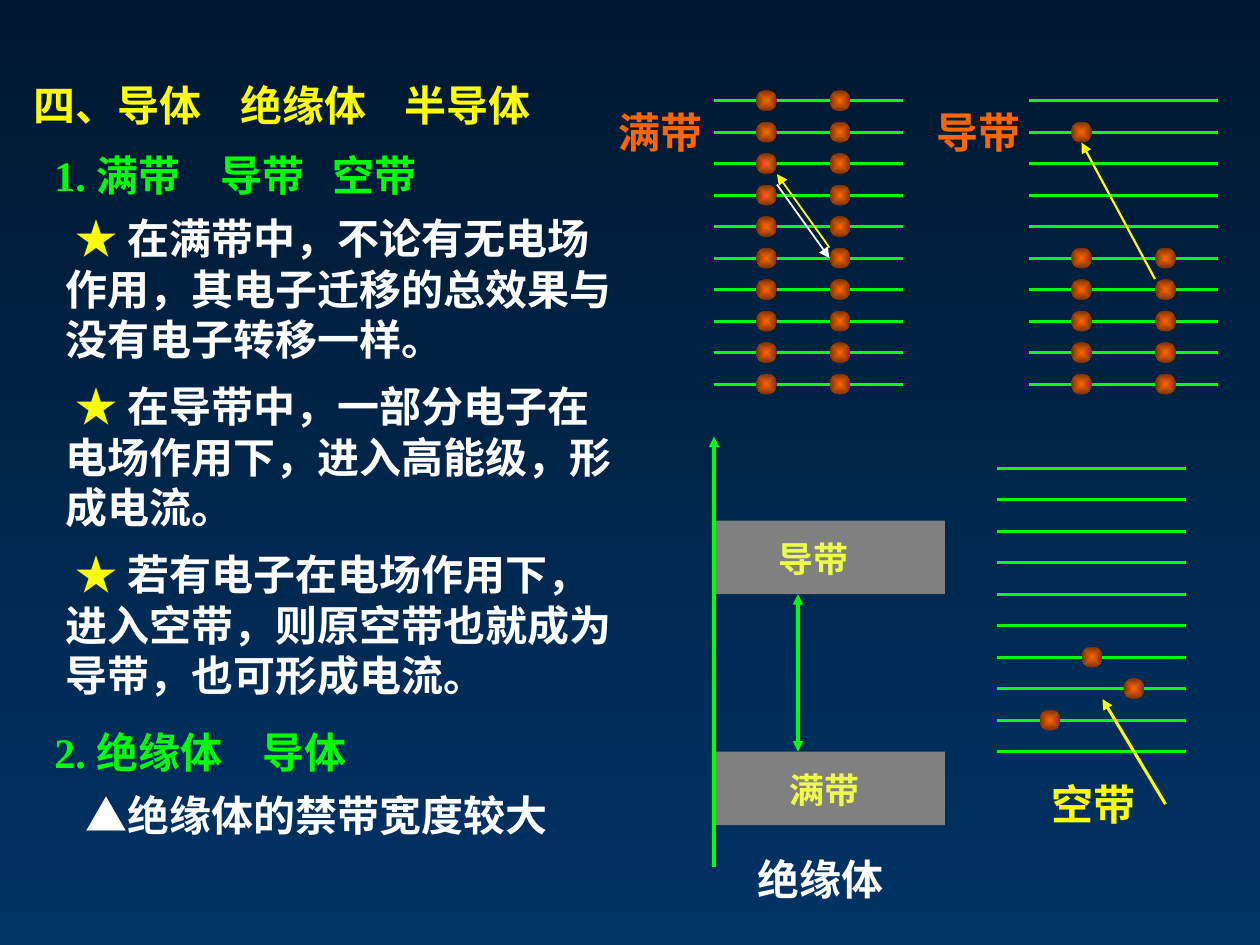
"""Build the slide on conductors, insulators and semiconductors."""
from dataclasses import dataclass

from pptx import Presentation
from pptx.dml.color import RGBColor
from pptx.enum import shapes, text
from pptx.oxml import parse_xml
from pptx.oxml import ns
from pptx.util import Pt

GREEN, YELLOW, ORANGE, WHITE = "00FF00", "FFFF00", "FF6600", "FFFFFF"
PITCH, LEVELS, BAND_WIDTH, DOT = 18, 10, 108, 12


@dataclass
class Levels:
    left: float
    top: float
    electrons: list[tuple[float, int]]


@dataclass
class Label:
    words: str
    box: tuple[float, float, float, float]
    color: str
    size: float = 24
    tabs: tuple[float, ...] = ()


@dataclass
class Line:
    start: tuple[float, float]
    end: tuple[float, float]
    color: str = GREEN
    width: float = 1.75
    heads: tuple[str, ...] = ("tailEnd",)


def rgb(value: str) -> RGBColor:
    return RGBColor.from_string(value)


def xml(tag: str, attrs: str = "", inner: str = ""):
    return parse_xml(f'<a:{tag} {ns.nsdecls("a")} {attrs}>{inner}</a:{tag}>')


def apply(target, values: dict) -> None:
    for name, value in values.items():
        setattr(target, name, value)


def place(sp, box) -> None:
    apply(sp, dict(zip(("left", "top", "width", "height"), map(Pt, box))))


def set_frame(tf, inset_y: float = 3.6) -> None:
    apply(tf, {
        "word_wrap": True, "auto_size": text.MSO_AUTO_SIZE.NONE,
        "vertical_anchor": text.MSO_ANCHOR.TOP,
        "margin_left": Pt(7.2), "margin_right": Pt(7.2),
        "margin_top": Pt(inset_y), "margin_bottom": Pt(inset_y),
    })


def add_run(p, words: str, color: str, size: float = 24) -> None:
    r = p.add_run()
    r.text = words
    apply(r.font, {"name": "Times New Roman", "size": Pt(size), "bold": True})
    r.font.color.rgb = rgb(color)


def write_label(sp, label: Label, inset_y: float = 3.6) -> None:
    place(sp, label.box)
    set_frame(sp.text_frame, inset_y)
    p = sp.text_frame.paragraphs[0]
    p.alignment = text.PP_ALIGN.LEFT
    if label.tabs:
        stops = "".join(f'<a:tab pos="{Pt(t)}" algn="l"/>' for t in label.tabs)
        p._p.get_or_add_pPr().append(xml("tabLst", inner=stops))
    add_run(p, label.words, label.color, label.size)


def write_points(sp, points: list[str], box, gap: float) -> None:
    place(sp, box)
    set_frame(sp.text_frame)
    for i, point in enumerate(points):
        p = sp.text_frame.add_paragraph() if i else sp.text_frame.paragraphs[0]
        pPr = p._p.get_or_add_pPr()
        pPr.set("marL", "0")
        pPr.set("indent", str(Pt(6)))
        pPr.append(xml("buNone"))
        p.space_before = Pt(gap if i else 0)
        add_run(p, "★ ", YELLOW)
        add_run(p, point, WHITE)


def set_gradient(fill, first: str, last: str) -> None:
    fill.gradient()
    for stop, color, position in zip(fill.gradient_stops, (first, last), (0, 1)):
        stop.color.rgb = rgb(color)
        stop.position = position


def add_line(s, line: Line) -> None:
    c = s.shapes.add_connector(shapes.MSO_CONNECTOR.STRAIGHT,
                               *map(Pt, line.start + line.end))
    c.line.color.rgb = rgb(line.color)
    c.line.width = Pt(line.width)
    spPr = c._element.spPr
    for head in line.heads:
        spPr.find(ns.qn("a:ln")).append(xml(head, 'type="triangle"'))
    spPr.append(xml("effectLst"))


def add_solid(s, kind, box):
    sp = s.shapes.add_shape(kind, *map(Pt, box))
    sp.shadow.inherit = False
    sp.line.fill.background()
    return sp


def add_electron(s, x: float, y: float) -> None:
    sp = add_solid(s, shapes.MSO_SHAPE.OVAL, (x - DOT / 2, y - DOT / 2, DOT, DOT))
    set_gradient(sp.fill, ORANGE, "762F00")
    grad = sp._element.spPr.find(ns.qn("a:gradFill"))
    center = '<a:fillToRect l="50000" t="50000" r="50000" b="50000"/>'
    grad.replace(grad.find(ns.qn("a:lin")), xml("path", 'path="shape"', center))


def add_levels(s, levels: Levels) -> None:
    for i in range(LEVELS):
        y = levels.top + i * PITCH
        add_line(s, Line((levels.left, y), (levels.left + BAND_WIDTH, y), heads=()))
    for x, row in levels.electrons:
        add_electron(s, x, levels.top + row * PITCH)


TITLE = Label("四、导体\t绝缘体\t半导体", (12, 39.6, 342, 41), YELLOW, tabs=(118, 212))
POINTS = [
    "在满带中，不论有无电场作用，其电子迁移的总效果与没有电子转移一样。",
    "在导带中，一部分电子在电场作用下，进入高能级，形成电流。",
    "若有电子在电场作用下，进入空带，则原空带也就成为导带，也可形成电流。",
]
LEVEL_SETS = [
    Levels(408, 57.5, [(x, i) for i in range(LEVELS) for x in (438, 480)]),
    Levels(588, 57.5, [(618, 1)] + [(x, i) for i in range(5, LEVELS) for x in (618, 666)]),
    Levels(570, 267.5, [(624, 6), (648, 7), (600, 8)]),
]
BLOCK_TOPS = (297.5, 429.5)
LINES = [
    Line((660, 159.5), (618, 81.5), YELLOW, 1.25),
    Line((474, 141.5), (444, 99.5), YELLOW, 1),
    Line((444, 105.5), (474, 147.5), WHITE, 1),
    Line((666, 459.5), (630, 399.5), YELLOW),
    Line((408, 495.5), (408, 249.5)),
    Line((456, 339.5), (456, 429.5), heads=("headEnd", "tailEnd")),
]
LABELS = [
    Label("1. 满带\t导带\t空带", (24, 82, 342, 36), GREEN, tabs=(95, 159)),
    Label("2. 绝缘体\t导体", (24, 411.5, 342, 36), GREEN, tabs=(119,)),
    Label("▲绝缘体的禁带宽度较大", (42, 447.5, 324, 36), WHITE),
    Label("满带", (346.5, 57.5, 133, 36), ORANGE),
    Label("导带", (528, 57.5, 115, 36), ORANGE),
    Label("空带", (594, 441.5, 126, 36), YELLOW),
    Label("绝缘体", (426, 484, 132, 36), WHITE),
    Label("导带", (438, 303.5, 102, 31), "EDFE4A", 20),
    Label("满带", (444, 435.5, 102, 31), "EDFE4A", 20),
]


def main() -> None:
    prs = Presentation()
    apply(prs, {"slide_width": Pt(720), "slide_height": Pt(540)})
    s = prs.slides.add_slide(prs.slide_layouts[1])
    set_gradient(s.background.fill, "00182F", "003366")
    s.background.fill.gradient_angle = 270
    write_label(s.shapes.title, TITLE, 5.76)
    write_points(s.placeholders[1], POINTS, (30, 118, 336, 286), 9.6)
    for levels in LEVEL_SETS:
        add_levels(s, levels)
    for top in BLOCK_TOPS:
        sp = add_solid(s, shapes.MSO_SHAPE.RECTANGLE, (408, top, 132, 42))
        sp.fill.solid()
        sp.fill.fore_color.rgb = rgb("808080")
    for line in LINES:
        add_line(s, line)
    for label in LABELS:
        write_label(s.shapes.add_textbox(*map(Pt, label.box)), label)
    prs.save("out.pptx")


if __name__ == "__main__":
    main()
